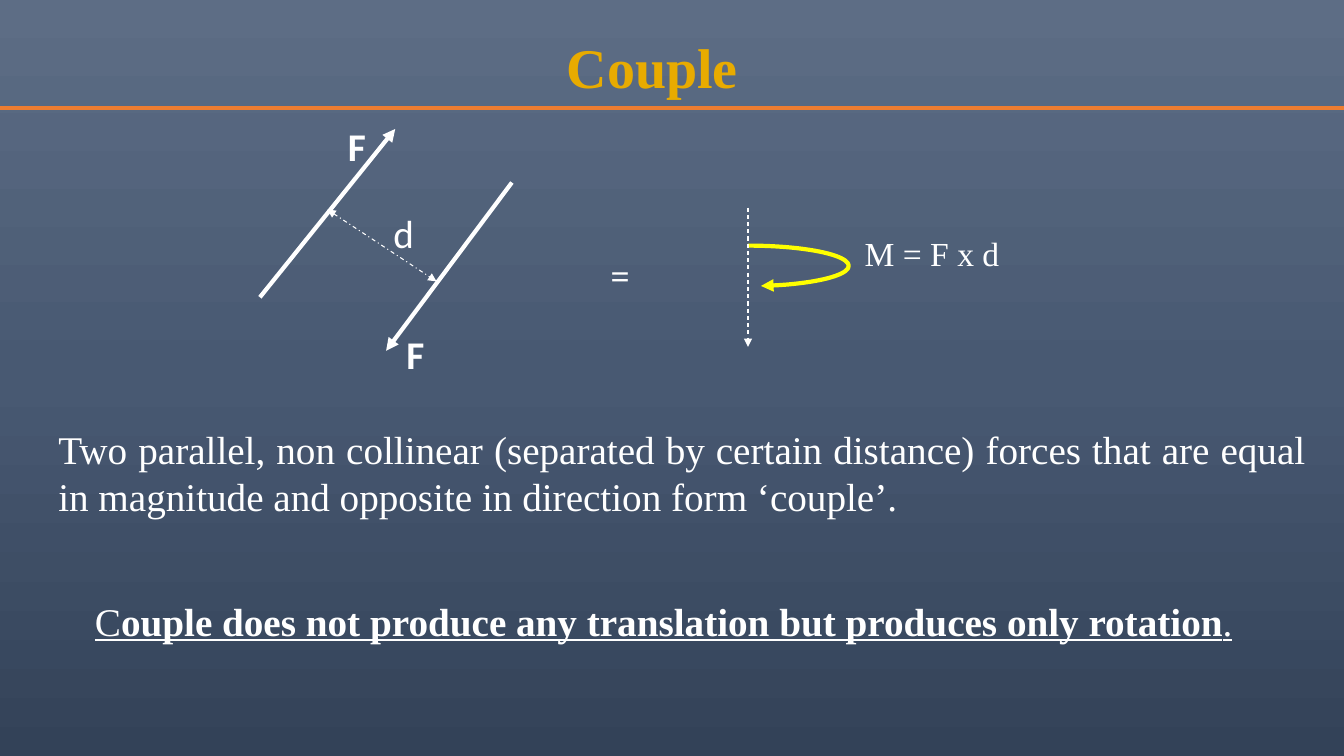
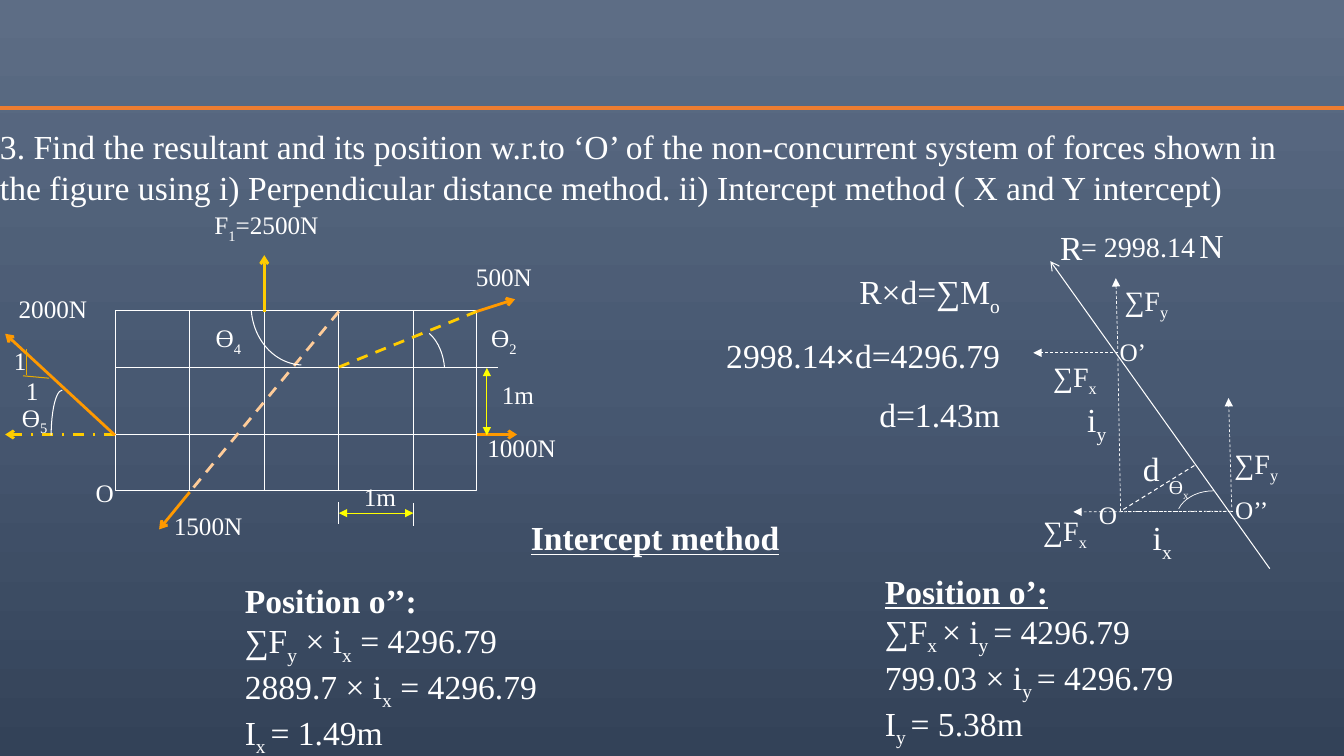
from copy import deepcopy

from pptx import Presentation
from pptx.dml.color import RGBColor
from pptx.enum.dml import MSO_LINE
from pptx.enum.shapes import MSO_CONNECTOR, MSO_SHAPE
from pptx.enum.text import MSO_ANCHOR, MSO_AUTO_SIZE, PP_ALIGN
from pptx.oxml.ns import qn
from pptx.oxml.xmlchemy import OxmlElement
from pptx.util import Cm, Pt

# Shared look
WIDTH, HEIGHT = 33.87, 19.05
WHITE, GOLD, YELLOW = "FFFFFF", "E8AB00", "FFFF00"
AMBER, ORANGE, PEACH, RUST = "FFCC00", "FF9900", "FFCC99", "ED7D31"
SKY = [(0, "5D6D85"), (0.5, "485972"), (1, "334258")]
SERIF, SANS = "Times New Roman", "Calibri"
DASH, DOT = MSO_LINE.DASH, MSO_LINE.DASH_DOT
LEFT, MID, RIGHT, FULL = (
    PP_ALIGN.LEFT, PP_ALIGN.CENTER, PP_ALIGN.RIGHT, PP_ALIGN.JUSTIFY)
# Text marks: |subscript|  *bold*  _underline_  ^Arial^
MARKS = "|*_^"


def tint(hue):
    return RGBColor.from_string(hue)


# Text
def split(line):
    """Yield each run of a marked line with the marks that hold for it."""
    flags, word = frozenset(), ""
    for sign in line:
        if sign in MARKS:
            if word:
                yield word, flags
            flags, word = flags ^ {sign}, ""
        else:
            word += sign
    if word:
        yield word, flags


def write(frame, words, size=24, face=SERIF, hue=WHITE, align=LEFT,
          wrap=True, gap=0):
    frame.margin_left = frame.margin_right = 0
    frame.margin_top = frame.margin_bottom = 0
    frame.auto_size = MSO_AUTO_SIZE.NONE
    frame.vertical_anchor = MSO_ANCHOR.TOP
    frame.word_wrap = wrap
    for i, line in enumerate(words.split("\n")):
        para = frame.add_paragraph() if i else frame.paragraphs[0]
        para.alignment = align
        para.space_before = Pt(gap if i else 0)
        for word, flags in split(line):
            run = para.add_run()
            run.text = word
            font = run.font
            font.size, font.color.rgb = Pt(size), tint(hue)
            font.name = "Arial" if "^" in flags else face
            font.bold, font.underline = "*" in flags, "_" in flags
            if "|" in flags:
                run._r.get_or_add_rPr().set("baseline", "-25000")


def text(slide, words, x, y, w, h, **style):
    box = slide.shapes.add_textbox(Cm(x), Cm(y), Cm(w), Cm(h))
    write(box.text_frame, words, **style)


def label(slide, words, x, y, w, h=0.76, size=18, **style):
    text(slide, words, x, y, w, h, size=size, align=MID, wrap=False, **style)


def title(slide, words, x, y, w, h):
    box = slide.shapes.title
    box.left, box.top, box.width, box.height = Cm(x), Cm(y), Cm(w), Cm(h)
    write(box.text_frame, words, size=40, hue=GOLD, align=MID, wrap=False)


# Lines
def stroke(shape, hue, width, dash=None, head=None, tail=None):
    line = shape.line
    line.color.rgb, line.width = tint(hue), Pt(width)
    if dash:
        line.dash_style = dash
    for tag, kind in (("a:headEnd", head), ("a:tailEnd", tail)):
        if kind:
            end = OxmlElement(tag)
            end.set("type", kind)
            line._get_or_add_ln().append(end)


def line(slide, x1, y1, x2, y2, hue=WHITE, width=0.75, **style):
    link = slide.shapes.add_connector(
        MSO_CONNECTOR.STRAIGHT, Cm(x1), Cm(y1), Cm(x2), Cm(y2))
    stroke(link, hue, width, **style)
    link._element.spPr.append(OxmlElement("a:effectLst"))
    return link


def arc(slide, x, y, rx, ry, start, stop, hue=WHITE, width=0.75, **style):
    """Draw a clockwise arc about (x, y), with angles in degrees."""
    bow = slide.shapes.add_shape(
        MSO_SHAPE.ARC, Cm(x - rx), Cm(y - ry), Cm(2 * rx), Cm(2 * ry))
    bow.adjustments[0], bow.adjustments[1] = start * 0.6, stop * 0.6
    bow.shadow.inherit = False
    bow.fill.background()
    stroke(bow, hue, width, **style)


# Master: gradient and rule
def dress(deck, slide):
    master = deck.slide_master
    fill = master.background.fill
    fill.gradient()
    fill.gradient_angle = 270
    stops = master._element.find(".//" + qn("a:gsLst"))
    stops.insert(1, deepcopy(stops[0]))
    for stop, (place, hue) in zip(fill.gradient_stops, SKY):
        stop.position, stop.color.rgb = place, tint(hue)
    rule = line(slide, 0, 2.72, WIDTH, 2.72, RUST, 2.25)
    master.shapes._spTree.append(rule._element)


# Slide 1
def couple(slide):
    title(slide, "*Couple*", 14.27, 0.81, 4.34, 1.7)
    # Pair of forces
    for ends in ((6.55, 7.49, 9.96, 3.25), (12.9, 4.6, 9.73, 8.84)):
        line(slide, *ends, width=3, tail="triangle")
    line(slide, 8.25, 5.28, 11, 7.09, dash=DOT,
         head="triangle", tail="triangle")
    for words, x, y, w in (("d", 9.96, 5.28, 0.43), ("*F*", 8.69, 3.07, 0.61),
                           ("*F*", 10.16, 8.33, 0.61)):
        label(slide, words, x, y, w, 1.19, size=28, face=SANS)
    # Moment
    text(slide, "*=*", 14.17, 6.43, 1.7, 1.02, align=RIGHT)
    arc(slide, 18.85, 6.7, 2.54, 0.51, 270, 57, YELLOW, 3, tail="triangle")
    line(slide, 18.85, 5.23, 18.85, 8.74, dash=DASH, tail="triangle")
    text(slide, "M = F x d", 21.79, 5.87, 4.01, 1.02)
    # Statements
    text(slide, "Two parallel, non collinear (separated by certain distance) "
         "forces that are equal in magnitude and opposite in direction form "
         "‘couple’.", 1.47, 10.72, 31.45, 2.38, size=28, align=FULL)
    text(slide, "_C*ouple does not produce any translation but produces only "
         "rotation*._", 1.27, 15.04, 30.91, 1.19, size=28, align=MID)


# Slide 2, left figure
def grid(slide):
    left, top, right, low, step = 2.9, 7.82, 12.01, 12.37, 1.88
    frame = slide.shapes.add_shape(
        MSO_SHAPE.RECTANGLE, Cm(left), Cm(top), Cm(right - left),
        Cm(low - top))
    frame.shadow.inherit = False
    frame.fill.background()
    stroke(frame, WHITE, 0.75)
    for y in (9.25, 10.95):
        line(slide, left, y, right, y)
    for i in range(1, 5):
        line(slide, left + i * step, top, left + i * step, low)


def forces(slide):
    for *ends, hue, dash, tail in (
            (8.54, 9.25, 12.01, 7.85, AMBER, DASH, None),
            (8.54, 7.85, 4.78, 12.4, PEACH, DASH, None),
            (2.9, 10.95, 0.13, 10.95, AMBER, DOT, "arrow"),
            (6.66, 7.85, 6.66, 6.43, AMBER, None, "arrow"),
            (2.9, 10.97, 0.13, 8.41, ORANGE, None, "arrow"),
            (12.01, 10.95, 13.03, 10.95, ORANGE, None, "arrow"),
            (4.78, 12.4, 4.01, 13.34, ORANGE, None, "arrow"),
            (12.01, 7.85, 12.98, 7.54, ORANGE, None, "arrow")):
        line(slide, *ends, hue, 2, dash=dash, tail=tail)
    # Slope marks, ticks and dimensions
    for ends in ((1.24, 9.53, 0.58, 9.47), (0.66, 9.45, 0.66, 8.79)):
        line(slide, *ends, GOLD)
    for ends in ((10.42, 12.67, 10.42, 13.26), (8.54, 12.65, 8.54, 13.21),
                 (12.01, 9.27, 12.55, 9.27)):
        line(slide, *ends)
    for ends in ((8.54, 12.93, 10.42, 12.93), (12.27, 9.27, 12.27, 10.97)):
        line(slide, *ends, YELLOW, head="triangle", tail="triangle")
    # Angles
    for bow in ((10.41, 9.4, 0.8, 1.16, 292.3, 350.8),
                (7.65, 7.7, 1.32, 1.5, 92, 174.5),
                (1.57, 10.97, 0.28, 1.14, 180, 270)):
        arc(slide, *bow)
    for item in (
            ("1000N", 12.27, 10.9, 1.75), ("500N", 11.99, 6.58, 1.42),
            ("F|1|=2500N", 5.38, 5.28, 2.67), ("2000N", 0.46, 7.39, 1.75),
            ("1500N", 4.37, 12.85, 1.75), ("1m", 9.17, 12.14, 0.81),
            ("1m", 12.65, 9.55, 0.81), ("Ө|2|", 12.37, 8.13, 0.66),
            ("Ө|4|", 5.41, 8.13, 0.69), ("1", 0.66, 9.47, 0.3),
            ("1", 0.36, 8.69, 0.3), ("Ө|5|", 0.53, 10.13, 0.69),
            ("O", 2.41, 12.04, 0.46)):
        label(slide, *item)


# Slide 2, right figure
def result(slide):
    line(slide, 32, 14.33, 26.47, 6.58, tail="arrow")
    line(slide, 30.1, 11.73, 28.24, 12.88, dash=DASH)
    line(slide, 28.24, 12.88, 31.17, 12.88, width=0.5, dash=DOT)
    line(slide, 28.24, 12.88, 28.17, 8.94, width=0.5, dash=DASH)
    for ends in ((28.17, 8.89, 26.04, 8.89), (28.17, 8.79, 28.12, 7.01),
                 (31.04, 12.88, 27.05, 12.9), (31.04, 12.78, 30.96, 10.03)):
        line(slide, *ends, width=0.5, dash=DASH, tail="triangle")
    arc(slide, 30.58, 13.08, 0.94, 0.71, 196.5, 270.9, width=0.5)
    for item in (("O", 27.69, 12.57, 0.46), ("O’", 28.04, 8.48, 1.02),
                 ("O’’", 30.96, 12.45, 1.17)):
        label(slide, *item)
    for words, x, y, size in (
            ("∑F|y|", 28.34, 7.14, 20), ("∑F|y|", 31.11, 11.25, 20),
            ("∑F|x|", 26.29, 12.93, 20), ("∑F|x|", 26.54, 9.05, 20),
            ("d", 28.8, 11.28, 24), ("i|x|", 29.05, 13.03, 24),
            ("i|y|", 27.4, 10.06, 24), ("ϴ|x|", 29.46, 11.97, 14)):
        text(slide, words, x, y, 1.8, 1, size=size)
    for words, x, y, w, size in (
            ("R", 26.72, 5.72, 0.56, 24), ("= 2998.14", 27.05, 5.79, 3.07, 20),
            ("N", 30.2, 5.66, 0.64, 24)):
        text(slide, words, x, y, w, 1.02, size=size, align=RIGHT, wrap=False)


def problem(slide):
    text(slide, "3. Find the resultant and its position w.r.to ‘O’ of the "
         "non-concurrent system of forces shown in the figure using "
         "i) Perpendicular distance method. ii) Intercept method "
         "( X and Y intercept)", 0, 3.18, 33.22, 2.06)
    grid(slide)
    forces(slide)
    result(slide)
    # Working
    text(slide, "R×d=∑M|o|\n2998.14^×^d=4296.79\nd=1.43m",
         15.88, 6.83, 9.32, 4.11, align=RIGHT, gap=13)
    text(slide, "_*Intercept method*_", 13.38, 13.03, 7.8, 1.02)
    text(slide, "*Position o’’:*\n∑F|y| × i|x| = 4296.79\n"
         "2889.7 × i|x| = 4296.79\nI|x |= 1.49m", 6.17, 14.61, 8.3, 4.1)
    text(slide, "_*Position o’:*_\n∑F|x |× i|y |= 4296.79\n"
         "799.03 × i|y |= 4296.79\nI|y |= 5.38m", 22.3, 14.38, 7.87, 4.1)


def main():
    deck = Presentation()
    deck.slide_width, deck.slide_height = Cm(WIDTH), Cm(HEIGHT)
    first = deck.slides.add_slide(deck.slide_layouts[5])
    dress(deck, first)
    couple(first)
    problem(deck.slides.add_slide(deck.slide_layouts[6]))
    deck.save("out.pptx")


if __name__ == "__main__":
    main()
